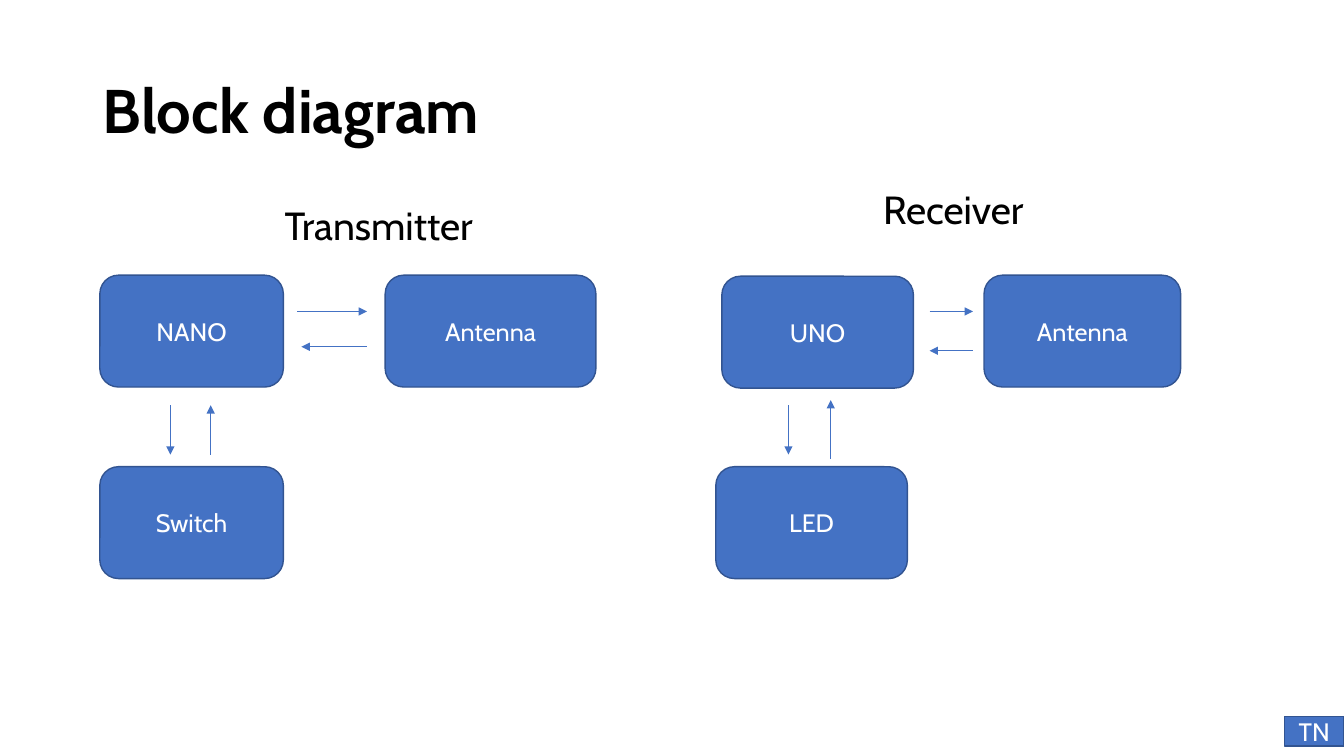
"""Build the block diagram slide of a transmitter and a receiver."""
import dataclasses

import pptx
import pptx.dml.color
import pptx.enum.shapes
import pptx.enum.text
import pptx.oxml.ns
import pptx.oxml.xmlchemy
import pptx.util

Inches = pptx.util.Inches
Shapes = pptx.enum.shapes.MSO_SHAPE
Align = pptx.enum.text.PP_ALIGN
Anchor = pptx.enum.text.MSO_ANCHOR


@dataclasses.dataclass(frozen=True)
class Theme:
    """Hold the colours, font and sizes of the slide."""
    font: str = "Cabin"
    ink: str = "000000"
    block: str = "4472C4"
    outline: str = "325491"
    label: str = "FFFFFF"
    title_size: float = 44
    heading_size: float = 28
    label_size: float = 18
    outline_width: float = 1
    arrow_width: float = 0.5


THEME = Theme()
BLOCK_HEIGHT = 1.11
TOP_ROW, BOTTOM_ROW = 2.73, 4.63

HEADINGS = [("Transmitter", 0.92, 2), ("Receiver", 6.62, 1.84)]
BLOCKS = [
    ("NANO", 0.99, TOP_ROW, 1.82),
    ("Antenna", 3.82, TOP_ROW, 2.09),
    ("Switch", 0.99, BOTTOM_ROW, 1.82),
    ("UNO", 7.16, 2.74, 1.9),
    ("Antenna", 9.76, TOP_ROW, 1.95),
    ("LED", 7.1, BOTTOM_ROW, 1.9),
]
ARROWS = [
    (2.95, 3.09, 3.64, 3.09),
    (3.64, 3.44, 2.99, 3.44),
    (1.69, 4.02, 1.69, 4.51),
    (2.09, 4.51, 2.09, 4.02),
    (9.22, 3.09, 9.65, 3.09),
    (9.65, 3.48, 9.22, 3.48),
    (7.82, 4.02, 7.82, 4.51),
    (8.24, 4.55, 8.24, 3.97),
]


def color(value):
    """Turn a hex value into a colour."""
    return pptx.dml.color.RGBColor.from_string(value)


def element(tag):
    """Make an empty XML element."""
    return pptx.oxml.xmlchemy.OxmlElement(tag)


def write(shape, text, size, ink, align, anchor, bold=False):
    """Write one formatted run into a shape and return its paragraph."""
    frame = shape.text_frame
    frame.word_wrap = True
    frame.auto_size = pptx.enum.text.MSO_AUTO_SIZE.NONE
    frame.vertical_anchor = anchor
    paragraph = frame.paragraphs[0]
    paragraph.alignment = align
    run = paragraph.add_run()
    run.text = text
    run.font.name = THEME.font
    run.font.size = pptx.util.Pt(size)
    run.font.bold = bold
    run.font.color.rgb = color(ink)
    return paragraph


def place(shape, left, top, width, height):
    """Move and size a placeholder."""
    shape.left, shape.top = Inches(left), Inches(top)
    shape.width, shape.height = Inches(width), Inches(height)


def fill_title(shape, text):
    """Fill the title placeholder."""
    place(shape, 0.92, 0.4, 11.5, 1.45)
    paragraph = write(shape, text, THEME.title_size, THEME.ink,
                      Align.LEFT, Anchor.MIDDLE, bold=True)
    paragraph.line_spacing = 0.9


def fill_heading(shape, text, left, top):
    """Fill a body placeholder with a centred heading without a bullet."""
    place(shape, left, top, 5.67, 4.76)
    paragraph = write(shape, text, THEME.heading_size, THEME.ink,
                      Align.CENTER, Anchor.TOP)
    paragraph.line_spacing = 0.9
    paragraph.space_before = pptx.util.Pt(10)
    properties = paragraph._p.get_or_add_pPr()
    properties.set("marL", "0")
    properties.set("indent", "0")
    properties.append(element("a:buNone"))


def add_block(slide, text, left, top, width, height=BLOCK_HEIGHT,
              kind=Shapes.ROUNDED_RECTANGLE):
    """Add a filled block with a centred label."""
    shape = slide.shapes.add_shape(
        kind, Inches(left), Inches(top), Inches(width), Inches(height))
    shape.shadow.inherit = False
    shape.fill.solid()
    shape.fill.fore_color.rgb = color(THEME.block)
    shape.line.color.rgb = color(THEME.outline)
    shape.line.width = pptx.util.Pt(THEME.outline_width)
    write(shape, text, THEME.label_size, THEME.label,
          Align.CENTER, Anchor.MIDDLE)


def add_arrow(slide, *ends):
    """Add a thin straight arrow between two points."""
    connector = slide.shapes.add_connector(
        pptx.enum.shapes.MSO_CONNECTOR.STRAIGHT, *map(Inches, ends))
    connector.line.color.rgb = color(THEME.block)
    connector.line.width = pptx.util.Pt(THEME.arrow_width)
    head = element("a:tailEnd")
    head.set("type", "triangle")
    properties = connector._element.spPr
    properties.find(pptx.oxml.ns.qn("a:ln")).append(head)
    properties.append(element("a:effectLst"))


def main():
    """Build and save the slide."""
    presentation = pptx.Presentation()
    presentation.slide_width = Inches(13.33)
    presentation.slide_height = Inches(7.5)
    slide = presentation.slides.add_slide(presentation.slide_layouts[3])
    title, *bodies = slide.placeholders
    fill_title(title, "Block diagram")
    for body, heading in zip(bodies, HEADINGS):
        fill_heading(body, *heading)
    for block in BLOCKS:
        add_block(slide, *block)
    for arrow in ARROWS:
        add_arrow(slide, *arrow)
    add_block(slide, "TN", 12.74, 7.11, 0.59, 0.29, Shapes.RECTANGLE)
    presentation.save("out.pptx")


if __name__ == "__main__":
    main()
